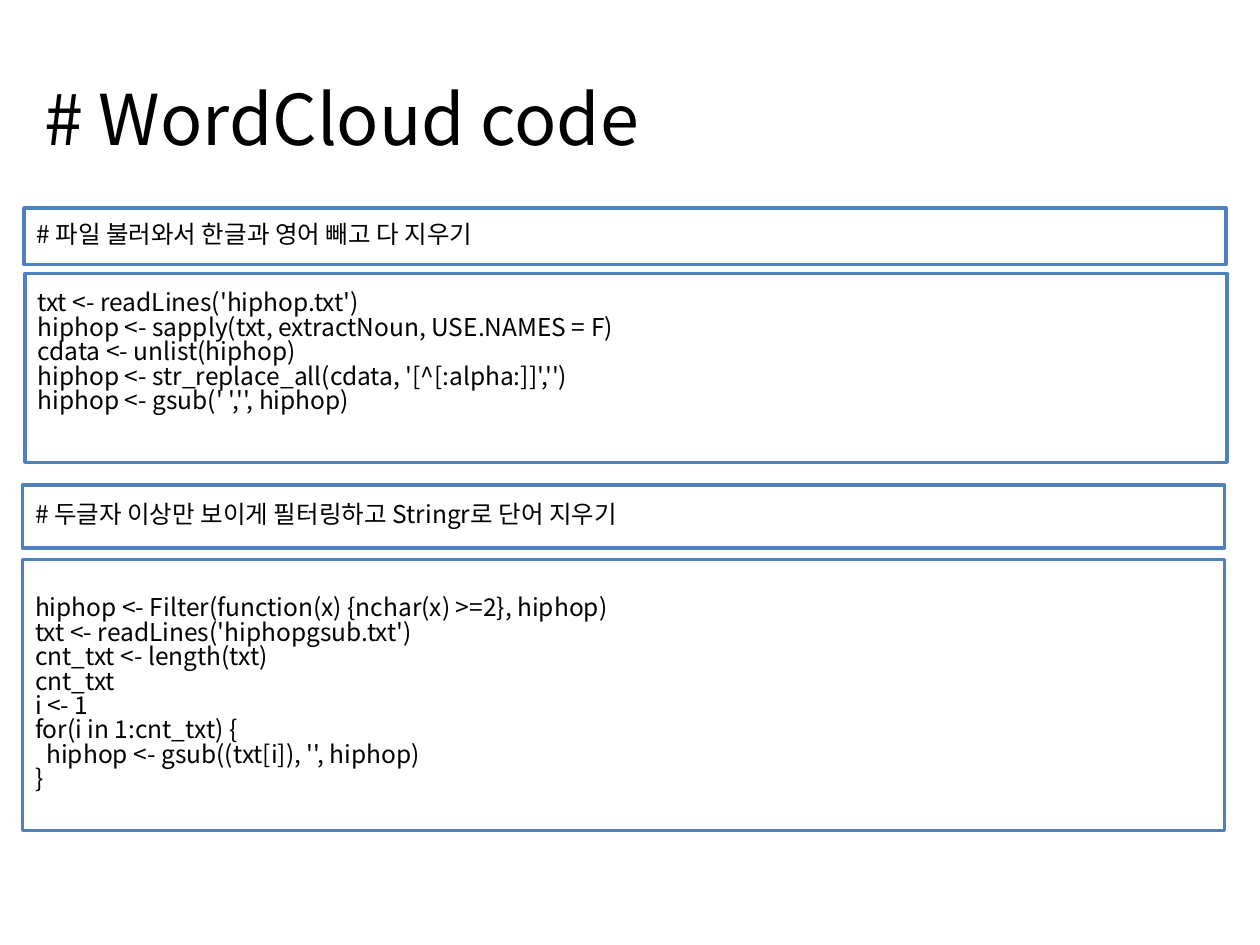
from pptx import Presentation
from pptx.dml.color import RGBColor
from pptx.enum.shapes import MSO_SHAPE
from pptx.enum.text import MSO_ANCHOR, PP_ALIGN
from pptx.oxml.ns import qn
from pptx.util import Inches, Pt
from lxml import etree

FONT = "Noto Sans CJK KR"
BLACK = RGBColor(0x00, 0x00, 0x00)
BLUE = RGBColor(0x4F, 0x81, 0xBD)


def write_lines(frame, lines, size=14, align=PP_ALIGN.LEFT, spacing=None, indents=()):
    """Fill a text frame, one paragraph a line; indents lists the indented lines."""
    frame.word_wrap = True
    frame.vertical_anchor = MSO_ANCHOR.MIDDLE
    for number, line in enumerate(lines):
        paragraph = frame.add_paragraph() if number else frame.paragraphs[0]
        paragraph.alignment = align
        if spacing:
            paragraph.line_spacing = spacing
        if number in indents:
            paragraph._p.get_or_add_pPr().set("marL", str(Inches(0.09)))
        run = paragraph.add_run()
        run.text = line
        run.font.size = Pt(size)
        run.font.name = FONT
        run.font.color.rgb = BLACK
        east_asian = etree.SubElement(run.font._element, qn("a:ea"))
        east_asian.set("typeface", FONT)


presentation = Presentation()
presentation.slide_width = Inches(10)
presentation.slide_height = Inches(7.5)
slide = presentation.slides.add_slide(presentation.slide_layouts[5])

# Title
title = slide.shapes.title
title.left, title.top = Inches(0), Inches(0.01)
title.width, title.height = Inches(5.55), Inches(1.85)
write_lines(title.text_frame, ["# WordCloud code "], size=40, align=PP_ALIGN.CENTER)

# Code steps: left, top, height, bottom inset, indented lines, text
load_code = [
    "txt <- readLines('hiphop.txt')",
    "hiphop <- sapply(txt, extractNoun, USE.NAMES = F)",
    "cdata <- unlist(hiphop)",
    "hiphop <- str_replace_all(cdata, '[^[:alpha:]]','')",
    "hiphop <- gsub(' ','', hiphop)",
]
filter_code = [
    "hiphop <- Filter(function(x) {nchar(x) >=2}, hiphop)",
    "txt <- readLines('hiphopgsub.txt')",
    "cnt_txt <- length(txt)",
    "cnt_txt",
    "i <- 1",
    "for(i in 1:cnt_txt) {",
    "hiphop <- gsub((txt[i]), '', hiphop)",
    "}",
]
panels = [
    (0.20, 2.17, 1.50, 0.28, (), load_code),
    (0.19, 1.65, 0.45, 0.05, (), ["# 파일 불러와서 한글과 영어 빼고 다 지우기"]),
    (0.18, 4.44, 2.15, 0.05, (6,), filter_code),
    (0.18, 3.85, 0.50, 0.05, (), ["# 두글자 이상만 보이게 필터링하고 Stringr로 단어 지우기"]),
]
for left, top, height, bottom_inset, indents, lines in panels:
    panel = slide.shapes.add_shape(
        MSO_SHAPE.RECTANGLE, Inches(left), Inches(top), Inches(9.54), Inches(height))
    panel.shadow.inherit = False
    panel.fill.background()
    panel.line.color.rgb = BLUE
    panel.line.width = Pt(2)
    panel.text_frame.margin_bottom = Inches(bottom_inset)
    write_lines(panel.text_frame, lines, spacing=0.83, indents=indents)

presentation.save("out.pptx")
